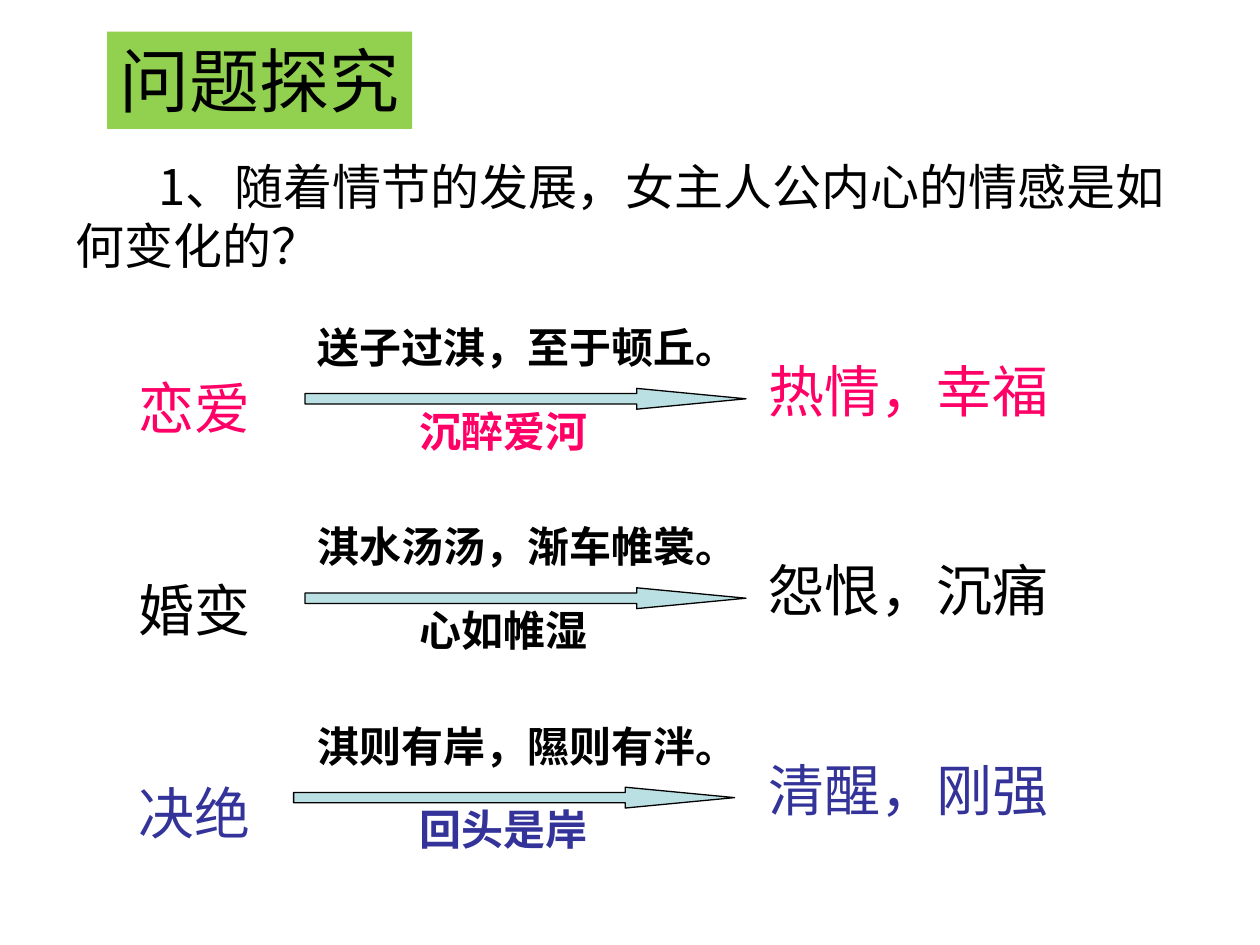
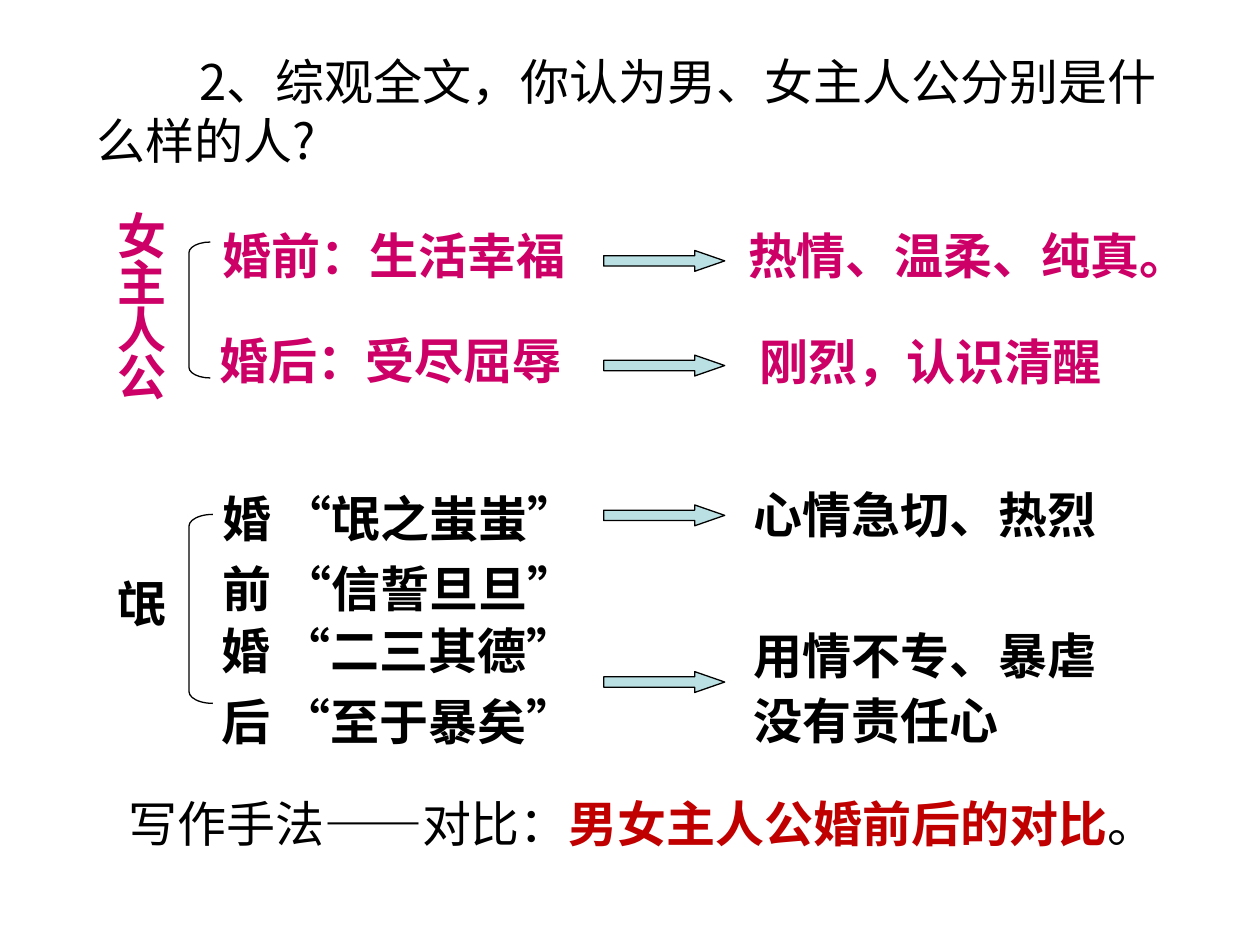
from lxml.etree import SubElement
from pptx import Presentation
from pptx.dml.color import RGBColor
from pptx.enum.shapes import MSO_SHAPE as Preset
from pptx.enum.text import MSO_ANCHOR as Anchor, MSO_AUTO_SIZE as AutoSize, PP_ALIGN as Align
from pptx.oxml.ns import qn
from pptx.util import Cm, Pt

COLORS = {
    "black": "000000",
    "love": "FF0066",
    "resolve": "333399",
    "heroine": "CC0066",
    "contrast": "C00000",
    "arrow": "BBE0E3",
    "banner": "92D050",
}
CJK_FONT = "Noto Sans CJK SC"
LATIN_FONT = "Arial"
TITLE_ONLY = 5


def write(shape, *paragraphs, size=28, color="black", bold=False, spacing=None,
          gap=0, indent=0, anchor=Anchor.TOP, wrap=True):
    """Fill a shape; a paragraph is a string or a list of (text, overrides) runs."""
    frame = shape.text_frame
    frame.word_wrap = wrap
    frame.auto_size = AutoSize.NONE
    frame.vertical_anchor = anchor
    for number, content in enumerate(paragraphs):
        paragraph = frame.add_paragraph() if number else frame.paragraphs[0]
        paragraph.alignment = Align.LEFT
        if spacing:
            paragraph.line_spacing = spacing
        if number and gap:
            paragraph.space_before = Pt(gap)
        if indent:
            properties = paragraph._p.get_or_add_pPr()
            properties.set("marL", "0")
            properties.set("indent", str(Cm(indent)))
        runs = [(content, {})] if isinstance(content, str) else content
        for text, changes in runs:
            run = paragraph.add_run()
            run.text = text
            run.font.size = Pt(size)
            run.font.bold = changes.get("bold", bold)
            run.font.color.rgb = RGBColor.from_string(COLORS[changes.get("color", color)])
            run.font.name = changes.get("font", CJK_FONT)
            SubElement(run._r.get_or_add_rPr(), qn("a:ea"), typeface=CJK_FONT)


def add_outlined(slide, preset, left, top, width, height, adjustments, fill=None):
    shape = slide.shapes.add_shape(preset, Cm(left), Cm(top), Cm(width), Cm(height))
    shape.shadow.inherit = False
    for number, value in enumerate(adjustments):
        shape.adjustments[number] = value
    if fill:
        shape.fill.solid()
        shape.fill.fore_color.rgb = RGBColor.from_string(COLORS[fill])
    else:
        shape.fill.background()
    shape.line.color.rgb = RGBColor.from_string(COLORS["black"])
    shape.line.width = Pt(0.75)


deck = Presentation()
deck.slide_width, deck.slide_height = Cm(25.4), Cm(19.05)

# Both slides: the question is the title
questions = [
    ("1、随着情节的发展，女主人公内心的情感是如何变化的？", 1.27, 2.75, 23.06, 1.67),
    ("2、综观全文，你认为男、女主人公分别是什么样的人?", 1.7, 0.64, 22.23, 2.07),
]
for question, left, top, width, indent in questions:
    slide = deck.slides.add_slide(deck.slide_layouts[TITLE_ONLY])
    title = slide.shapes.title
    title.left, title.top, title.width, title.height = Cm(left), Cm(top), Cm(width), Cm(3.18)
    write(title, question, indent=indent, anchor=Anchor.MIDDLE)
feelings_slide, characters_slide = deck.slides

# Slide 1: how the heroine's feelings change
shapes = feelings_slide.shapes
banner = shapes.add_shape(Preset.RECTANGLE, Cm(2.16), Cm(0.64), Cm(6.15), Cm(1.96))
banner.shadow.inherit = False
banner.fill.solid()
banner.fill.fore_color.rgb = RGBColor.from_string(COLORS["banner"])
banner.line.fill.background()
write(banner, "问题探究", size=40, wrap=False)

stages = [
    ("恋爱", "送子过淇，至于顿丘。", "沉醉爱河", "热情，幸福", "love", 6.15),
    ("婚变", "淇水汤汤，渐车帷裳。", "心如帷湿", "怨恨，沉痛", "black", 6.15),
    ("决绝", "淇则有岸，隰则有泮。", "回头是岸", "清醒，刚强", "resolve", 5.92),
]
stage_column = shapes.add_textbox(Cm(2.54), Cm(6.73), Cm(4.88), Cm(10.41))
write(stage_column, *[[(stage[0], {"color": stage[4]})] for stage in stages],
      size=32, spacing=1.5, gap=58)

ROW_STEP = 4.02
for row, (_, verse, meaning, feeling, color, arrow_left) in enumerate(stages):
    drop = row * ROW_STEP
    write(shapes.add_textbox(Cm(15.24), Cm(7.06 + drop), Cm(6.78), Cm(1.63)),
          feeling, size=32, color=color)
    write(shapes.add_textbox(Cm(6.15), Cm(6.35 + drop), Cm(9.53), Cm(1.27)),
          verse, size=24, bold=True)
    write(shapes.add_textbox(Cm(8.2), Cm(8.04 + drop), Cm(4.52), Cm(1.27)),
          meaning, size=24, color=color, bold=True)
    add_outlined(feelings_slide, Preset.RIGHT_ARROW, arrow_left, 7.83 + drop, 8.89, 0.42,
                 [0.5, 5.25], fill="arrow")

# Slide 2: the two characters
shapes = characters_slide.shapes
heroine_notes = [
    ("婚前：生活幸福", 4.24, 4.42, 8),
    ("婚后：受尽屈辱", 4.17, 6.53, 8.15),
    ("热情、温柔、纯真。", 14.83, 4.42, 9.93),
    ("刚烈，认识清醒", 15.06, 6.55, 7.42),
]
for note, left, top, width in heroine_notes:
    write(shapes.add_textbox(Cm(left), Cm(top), Cm(width), Cm(1.45)),
          note, color="heroine", bold=True)
write(shapes.add_textbox(Cm(2.11), Cm(4.24), Cm(1.96), Cm(4.06)),
      "女主人公", color="heroine", bold=True, spacing=0.8)

write(shapes.add_textbox(Cm(2.11), Cm(11.43), Cm(2.08), Cm(1.45)), "氓", bold=True)
verse_pairs = [
    (4.24, 10.05, 16.2, [("婚 ", "氓之蚩蚩"), ("前 ", "信誓旦旦")]),
    (4.22, 12.7, 17.5, [("婚 ", "二三其德"), ("后 ", "至于暴矣")]),
]
for left, top, gap, verses in verse_pairs:
    quoted = [[(period, {}), ("“", {"font": LATIN_FONT}), (verse, {}),
               ("”", {"font": LATIN_FONT})] for period, verse in verses]
    write(shapes.add_textbox(Cm(left), Cm(top), Cm(8.08), Cm(2.54)),
          *quoted, bold=True, spacing=0.7, gap=gap)

write(shapes.add_textbox(Cm(14.94), Cm(9.65), Cm(8.56), Cm(1.45)),
      "心情急切、热烈", bold=True)
write(shapes.add_textbox(Cm(14.94), Cm(12.37), Cm(8.56), Cm(2.87)),
      "用情不专、暴虐", "没有责任心", bold=True, spacing=1.1)

for top in (5.05, 7.16, 10.18, 13.54):
    add_outlined(characters_slide, Preset.RIGHT_ARROW, 12.17, top, 2.44, 0.42,
                 [0.5, 1.44], fill="arrow")
for top, width, height in ((4.88, 0.43, 2.74), (10.37, 0.48, 3.81)):
    add_outlined(characters_slide, Preset.LEFT_BRACKET, 3.81, top, width, height, [0.5])

write(shapes.add_textbox(Cm(2.34), Cm(15.88), Cm(21.59), Cm(1.45)),
      [("写作手法——对比：", {}),
       ("男女主人公婚前后的对比", {"color": "contrast", "bold": True}),
       ("。", {})])

deck.save("out.pptx")
